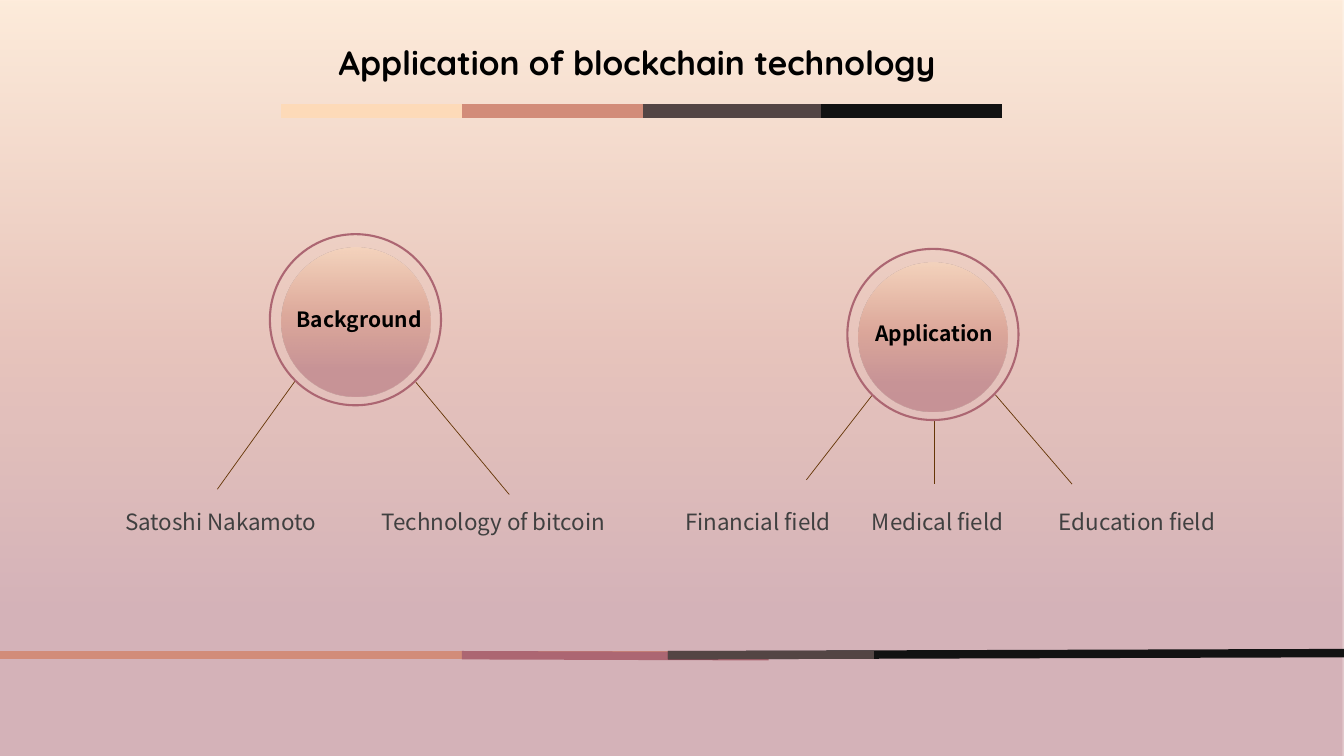
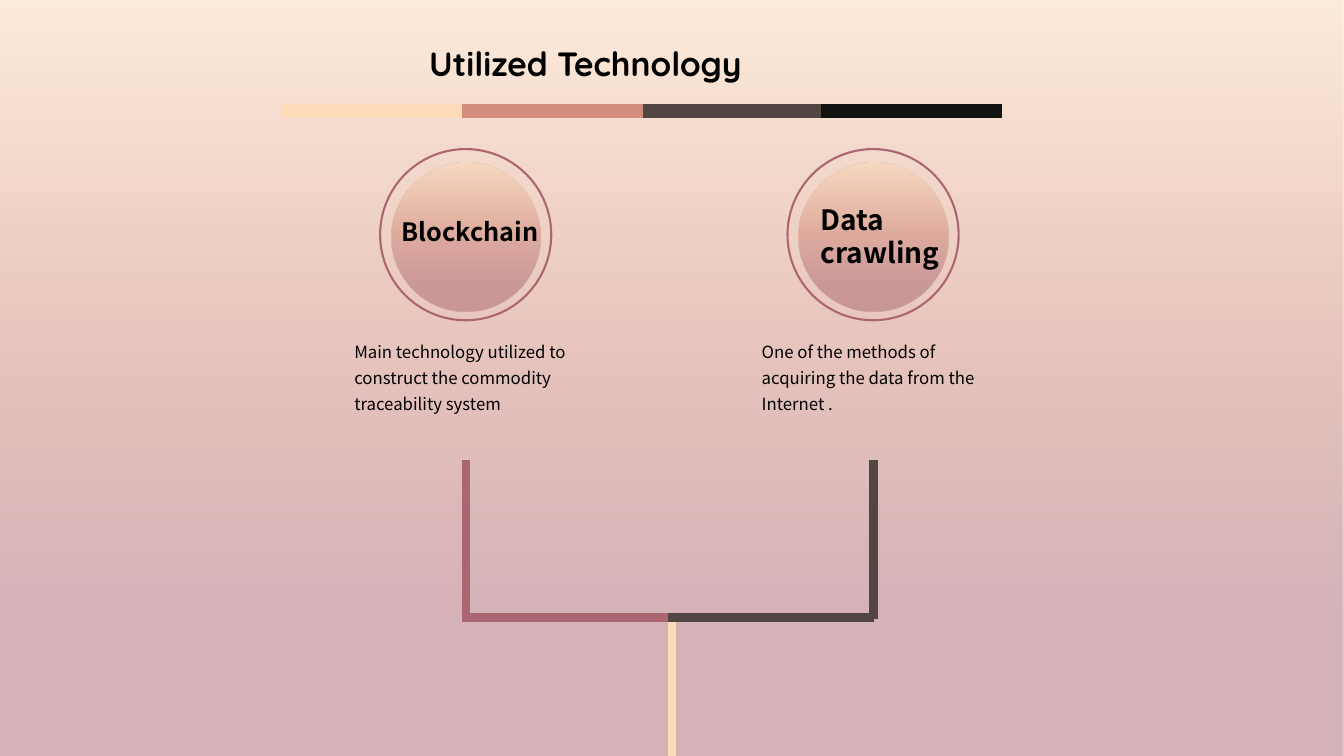
from lxml import etree
from pptx import Presentation
from pptx.dml.color import RGBColor
from pptx.enum.shapes import MSO_CONNECTOR, MSO_SHAPE
from pptx.enum.text import MSO_ANCHOR, MSO_AUTO_SIZE, PP_ALIGN
from pptx.oxml.ns import qn
from pptx.util import Pt

STRAIGHT = MSO_CONNECTOR.STRAIGHT
RECTANGLE = MSO_SHAPE.RECTANGLE
OVAL = MSO_SHAPE.OVAL
TOP = MSO_ANCHOR.TOP
NO_AUTOFIT = MSO_AUTO_SIZE.NONE
LEFT = PP_ALIGN.LEFT

PX = 9525
WIDTH, HEIGHT = 1280, 720

PEACH = RGBColor(0xFD, 0xDA, 0xB8)
CORAL = RGBColor(0xD2, 0x8C, 0x79)
ROSE = RGBColor(0xAC, 0x66, 0x72)
BROWN = RGBColor(0x53, 0x45, 0x44)
BLACK = RGBColor(0x12, 0x12, 0x12)
OLIVE = RGBColor(0x65, 0x36, 0x07)
GRAY = RGBColor(0x40, 0x40, 0x40)
TEXT = RGBColor(0x00, 0x00, 0x00)

TITLE_FONT = "Quicksand"
BODY_FONT = "Noto Sans CJK SC"
GRADIENT = [(0, PEACH), (45, CORAL), (80, ROSE), (100, ROSE)]
RING, DISC = 163, 142
DISC_LEFT, DISC_TOP = 11, 13
BAND_Y, BAND_PART = 106, 172


def add_line(page, points, color, weight):
    line = page.shapes.add_connector(STRAIGHT, *[value * PX for value in points])
    line.line.color.rgb = color
    line.line.width = Pt(weight)
    etree.SubElement(line.element.spPr, qn("a:effectLst"))
    return line


def add_gradient_shape(page, kind, box):
    shape = page.shapes.add_shape(kind, *[value * PX for value in box])
    shape.shadow.inherit = False
    shape.line.fill.background()
    shape.fill.gradient()
    shape.fill.gradient_angle = 270
    stops = shape.element.spPr.find(".//" + qn("a:gsLst"))
    stops.clear()
    for position, color in GRADIENT:
        stop = etree.SubElement(stops, qn("a:gs"), pos=str(position * 1000))
        tone = etree.SubElement(stop, qn("a:srgbClr"), val=str(color))
        etree.SubElement(tone, qn("a:alpha"), val="50000")
    return shape


deck = Presentation()
deck.slide_width = WIDTH * PX
deck.slide_height = HEIGHT * PX
layout = deck.slide_layouts[5]

titles = [
    ("Application of blockchain technology", (313, 39, 623, 38)),
    ("Utilized Technology", (399, 40, 449, 38)),
]
for title, box in titles:
    page = deck.slides.add_slide(layout)
    holder = page.shapes.title
    holder.left, holder.top, holder.width, holder.height = [value * PX for value in box]
    frame = holder.text_frame
    frame.auto_size = NO_AUTOFIT
    frame.vertical_anchor = TOP
    para = frame.paragraphs[0]
    para.alignment = LEFT
    para.line_spacing = 0.9
    span = para.add_run()
    span.text = title
    span.font.name = TITLE_FONT
    span.font.size = Pt(24)
    span.font.bold = True
    span.font.color.rgb = TEXT

application, technology = deck.slides

shared = [add_gradient_shape(application, RECTANGLE, (0, 0, WIDTH, HEIGHT))]
for start, color in [(268, PEACH), (440, CORAL), (612, BROWN), (782, BLACK)]:
    points = (start, BAND_Y, start + BAND_PART, BAND_Y)
    shared.append(add_line(application, points, color, 10))
for shape in shared:
    layout.shapes.element.append(shape.element)

lines = [
    (application, (0, 624, 640, 624), CORAL, 6),
    (application, (440, 624, 732, 625), ROSE, 6),
    (application, (636, 624, 1280, 622), BLACK, 6),
    (application, (636, 624, 832, 624), BROWN, 6),
    (application, (281, 363, 207, 466), OLIVE, 0.5),
    (application, (396, 364, 485, 471), OLIVE, 0.5),
    (application, (831, 376, 768, 457), OLIVE, 0.5),
    (application, (890, 400, 890, 461), OLIVE, 0.5),
    (application, (948, 376, 1021, 461), OLIVE, 0.5),
    (technology, (640, 720, 640, 588), PEACH, 6),
    (technology, (444, 590, 444, 438), ROSE, 6),
    (technology, (440, 588, 636, 588), ROSE, 6),
    (technology, (636, 588, 832, 588), BROWN, 6),
    (technology, (832, 590, 832, 438), BROWN, 6),
]
for page, points, color, weight in lines:
    add_line(page, points, color, weight)

circles = [
    (application, 257, 223),
    (application, 807, 237),
    (technology, 362, 142),
    (technology, 750, 142),
]
for page, left, top in circles:
    add_gradient_shape(page, OVAL, (left + DISC_LEFT, top + DISC_TOP, DISC, DISC))
    ring = page.shapes.add_shape(OVAL, left * PX, top * PX, RING * PX, RING * PX)
    ring.shadow.inherit = False
    ring.fill.background()
    ring.line.color.rgb = ROSE
    ring.line.width = Pt(1.5)

texts = [
    (application, "Background", (273, 287, 142, 34), 15, True, TEXT),
    (application, "Application", (824, 301, 142, 34), 15, True, TEXT),
    (technology, "Blockchain", (373, 201, 188, 38), 18, True, TEXT),
    (technology, "Data crawling", (772, 188, 142, 74), 20, True, TEXT),
    (technology, "Main technology utilized to construct the commodity traceability system",
     (328, 315, 231, 83), 12, False, TEXT),
    (technology, "One of the methods of acquiring the data from the Internet .",
     (716, 315, 231, 83), 12, False, TEXT),
]
fields = [
    ("Satoshi Nakamoto", 110),
    ("Technology of bitcoin", 354),
    ("Financial field", 643),
    ("Medical field", 821),
    ("Education field", 999),
]
for field, left in fields:
    texts.append((application, field, (left, 472, 240, 50), 16, False, GRAY))

for page, words, box, size, bold, color in texts:
    frame = page.shapes.add_textbox(*[value * PX for value in box]).text_frame
    frame.word_wrap = True
    para = frame.paragraphs[0]
    para.line_spacing = 1.0 if bold else 1.3
    span = para.add_run()
    span.text = words
    span.font.name = BODY_FONT
    span.font.size = Pt(size)
    span.font.bold = bold
    span.font.color.rgb = color

deck.save("out.pptx")
